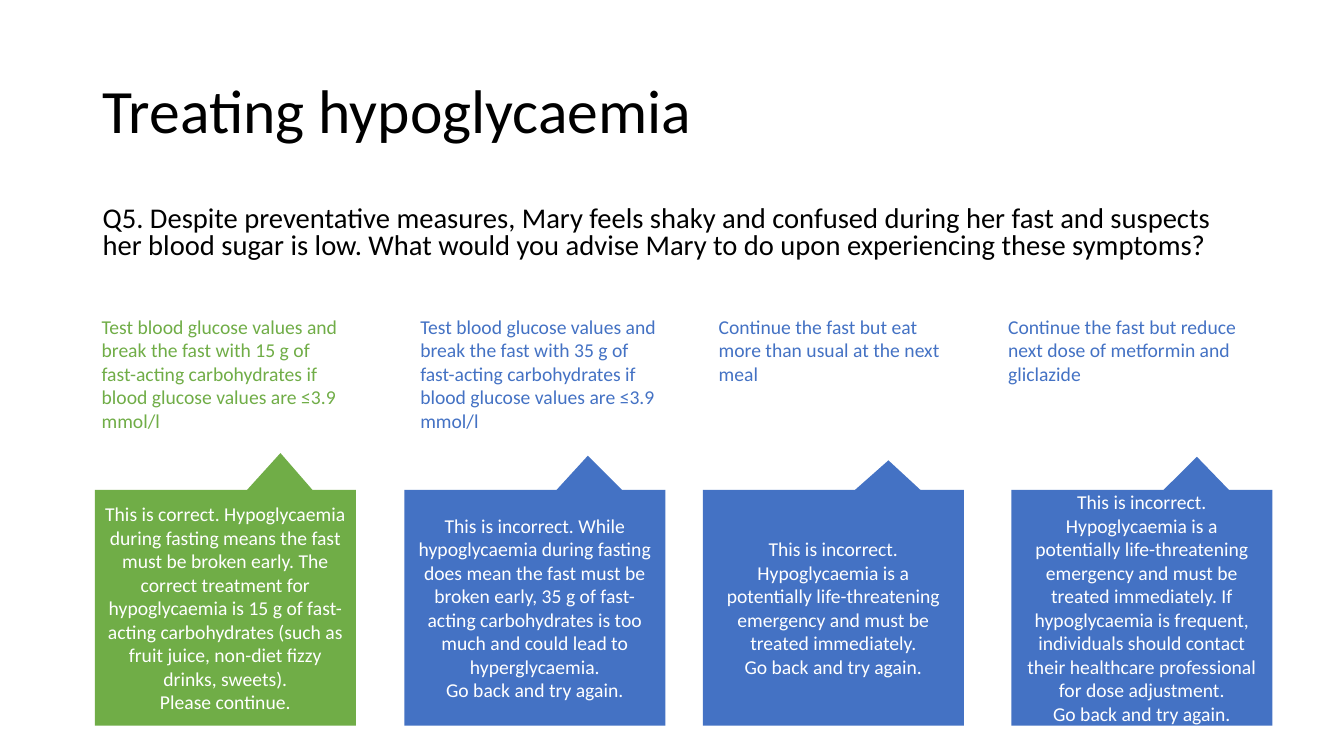
from pptx import Presentation
from pptx.dml.color import RGBColor
from pptx.enum.shapes import MSO_SHAPE
from pptx.enum.text import MSO_ANCHOR as ANCHOR, PP_ALIGN as ALIGN
from pptx.util import Pt

PX = 9144
FONT = "Calibri"
COLORS = {"text": "000000", "right": "70AD47", "wrong": "4472C4", "on_fill": "FFFFFF"}
RETRY = "Go back and try again."
EMERGENCY = ("This is incorrect. Hypoglycaemia is a potentially life-threatening "
             "emergency and must be treated immediately.")
TEST_AND_BREAK = ("Test blood glucose values and break the fast with {} g of fast-acting "
                  "carbohydrates if blood glucose values are ≤3.9 mmol/l")

OPTIONS = [
    (91, 94, "right", (0.211, -0.656), TEST_AND_BREAK.format(15),
     ["This is correct. Hypoglycaemia during fasting means the fast must be broken early. "
      "The correct treatment for hypoglycaemia is 15 g of fast-acting carbohydrates "
      "(such as fruit juice, non-diet fizzy drinks, sweets).", "Please continue."]),
    (407, 401, "wrong", (0.203, -0.645), TEST_AND_BREAK.format(35),
     ["This is incorrect. While hypoglycaemia during fasting does mean the fast must be "
      "broken early, 35 g of fast-acting carbohydrates is too much and could lead to "
      "hyperglycaemia.", RETRY]),
    (703, 697, "wrong", (0.211, -0.625),
     "Continue the fast but eat more than usual at the next meal", [EMERGENCY, RETRY]),
    (990, 1003, "wrong", (0.211, -0.64),
     "Continue the fast but reduce next dose of metformin and gliclazide",
     [EMERGENCY + " If hypoglycaemia is frequent, individuals should contact their "
      "healthcare professional for dose adjustment.", RETRY]),
]


def emu(*lengths):
    return [n * PX for n in lengths]


def write(sp, *lines, size=14, color="text", align=ALIGN.LEFT, anchor=ANCHOR.TOP,
          spacing=1.0, before=0):
    tf = sp.text_frame
    tf.word_wrap = True
    tf.vertical_anchor = anchor
    for i, line in enumerate(lines):
        p = tf.add_paragraph() if i else tf.paragraphs[0]
        p.alignment, p.line_spacing, p.space_before = align, spacing, Pt(before)
        r = p.add_run()
        r.text = line
        r.font.name, r.font.size = FONT, Pt(size)
        r.font.color.rgb = RGBColor.from_string(COLORS[color])


def add_heading(s, x, y, w):
    title = s.shapes.add_textbox(*emu(x, y, w, 145))
    write(title, "Treating hypoglycaemia", size=44, anchor=ANCHOR.MIDDLE, spacing=0.9)
    question = s.shapes.add_textbox(*emu(x, y + 160, w, 81))
    write(question, "Q5. Despite preventative measures, Mary feels shaky and confused during "
          "her fast and suspects her blood sugar is low. What would you advise Mary to do "
          "upon experiencing these symptoms?", size=20.4, spacing=0.8, before=10)


def add_option(s, y, answer_x, callout_x, color, tail, answer, feedback):
    box = s.shapes.add_textbox(*emu(answer_x, y, 254, 128))
    write(box, answer, color=color)
    callout = s.shapes.add_shape(MSO_SHAPE.RECTANGULAR_CALLOUT,
                                 *emu(callout_x, y + 179, 259, 234))
    callout.adjustments[0], callout.adjustments[1] = tail
    callout.shadow.inherit = False
    callout.fill.solid()
    callout.fill.fore_color.rgb = RGBColor.from_string(COLORS[color])
    callout.line.fill.background()
    write(callout, *feedback, color="on_fill", align=ALIGN.CENTER, anchor=ANCHOR.MIDDLE)


def main():
    prs = Presentation()
    prs.slide_width, prs.slide_height = emu(1333, 750)
    s = prs.slides.add_slide(prs.slide_layouts[6])
    add_heading(s, 92, 40, 1150)
    for option in OPTIONS:
        add_option(s, 307, *option)
    prs.save("out.pptx")


if __name__ == "__main__":
    main()
